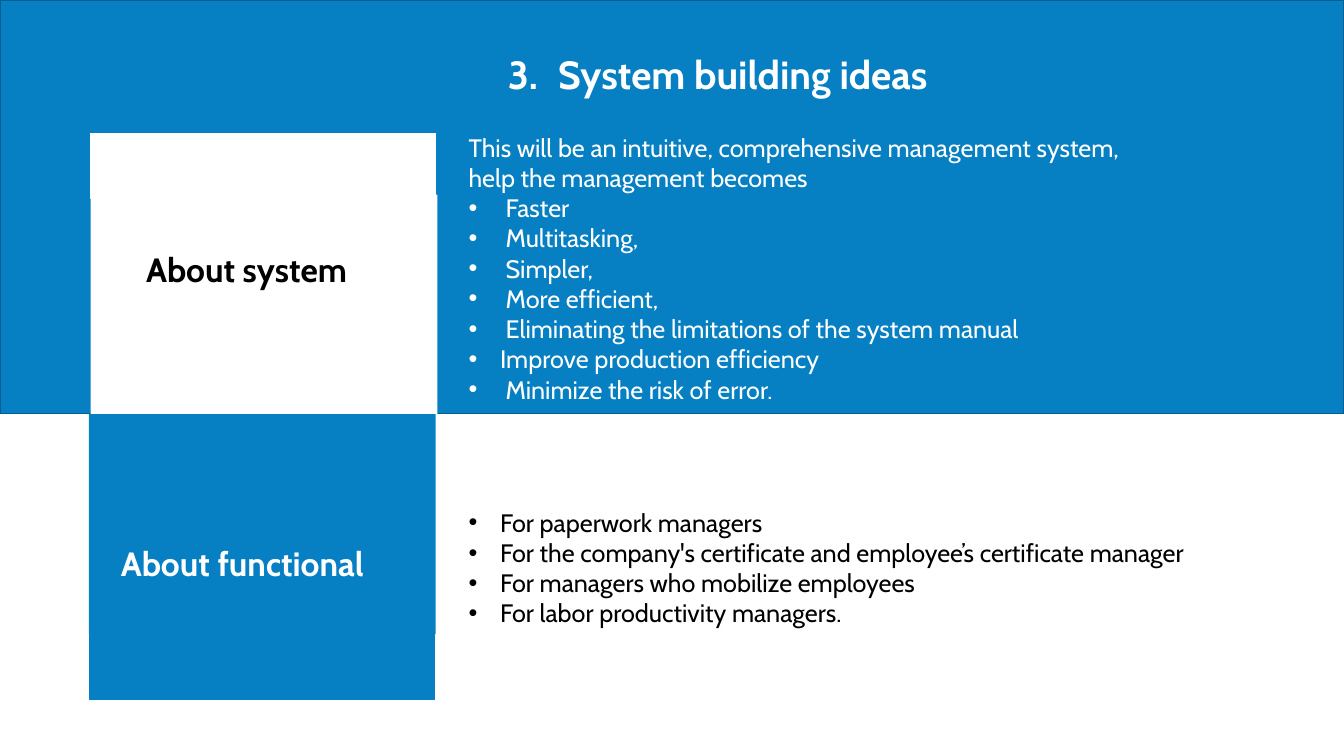
import pptx
import pptx.util
import pptx.dml.color
import pptx.enum.shapes
import pptx.enum.text
import pptx.oxml.ns
import lxml.etree

Pt = pptx.util.Pt
qn = pptx.oxml.ns.qn
ALIGN = pptx.enum.text.PP_ALIGN
BLUE, WHITE, BLACK = "0680C3", "FFFFFF", "000000"


def color(hex_value):
    return pptx.dml.color.RGBColor.from_string(hex_value)


def add_text(box, lines, size=18, fill=BLACK, bold=False, align=ALIGN.LEFT,
             line_spacing=None, space_after=None, wrap=True, grow=True,
             anchor=pptx.enum.text.MSO_ANCHOR.TOP):
    frame = slide.shapes.add_textbox(*[Pt(value) for value in box]).text_frame
    frame.word_wrap = wrap
    frame.vertical_anchor = anchor
    if grow:
        frame.auto_size = pptx.enum.text.MSO_AUTO_SIZE.SHAPE_TO_FIT_TEXT
    for number, (text, indent) in enumerate(lines):
        paragraph = frame.paragraphs[0] if number == 0 else frame.add_paragraph()
        paragraph.alignment = align
        paragraph.line_spacing = line_spacing
        paragraph.space_after = space_after
        if indent:
            properties = paragraph._p.get_or_add_pPr()
            properties.set("marL", str(Pt(indent)))
            properties.set("indent", str(-Pt(indent)))
            bullet_font = lxml.etree.SubElement(properties, qn("a:buFont"))
            bullet_font.set("typeface", "Arial")
            bullet = lxml.etree.SubElement(properties, qn("a:buChar"))
            bullet.set("char", "•")
        run = paragraph.add_run()
        run.text = text
        run.font.name = "Cabin"
        run.font.size = Pt(size)
        run.font.bold = bold
        run.font.color.rgb = color(fill)


presentation = pptx.Presentation()
presentation.slide_width = Pt(960)
presentation.slide_height = Pt(540)
slide = presentation.slides.add_slide(presentation.slide_layouts[6])

panels = [
    (63.5, 295.2, 247.7, 157.7, BLUE, None),
    (0, 0, 960, 295.2, BLUE, "045F90"),
    (64.8, 139, 247.7, 156.6, WHITE, None),
    (64.8, 95.2, 246.2, 46.8, WHITE, WHITE),
    (64.1, 452.9, 246.2, 46.8, BLUE, BLUE),
]
for left, top, width, height, fill, line in panels:
    shape = slide.shapes.add_shape(
        pptx.enum.shapes.MSO_SHAPE.RECTANGLE, Pt(left), Pt(top), Pt(width), Pt(height))
    shape.shadow.inherit = False
    shape.fill.solid()
    shape.fill.fore_color.rgb = color(fill)
    if line:
        shape.line.color.rgb = color(line)
        shape.line.width = Pt(1)
    else:
        shape.line.fill.background()

add_text((311, 26.6, 403.2, 56.9), [("3.\tSystem building ideas", 0)],
         size=28, fill=WHITE, bold=True, align=ALIGN.CENTER, line_spacing=0.9,
         grow=False, anchor=pptx.enum.text.MSO_ANCHOR.MIDDLE)

labels = [
    ("About system", (97.2, 172.1, 180.7, 35.3), BLACK),
    ("About functional", (79.2, 382.3, 216.7, 35.3), WHITE),
]
for label, box, fill in labels:
    add_text(box, [(label, 0)], size=24, fill=fill, bold=True, align=ALIGN.JUSTIFY,
             line_spacing=1.07, space_after=Pt(8), wrap=False)

system_lines = [
    ("This will be an intuitive, comprehensive management system, "
     "help the management becomes", 0),
    ("Faster", 26.5),
    ("Multitasking,", 26.5),
    ("Simpler,", 26.5),
    ("More efficient,", 26.5),
    ("Eliminating the limitations of the system manual", 26.5),
    ("Improve production efficiency", 22.5),
    ("Minimize the risk of error.", 26.5),
]
add_text((327.6, 90.7, 486.7, 203.8), system_lines, fill=WHITE)

functional_lines = [
    ("For paperwork managers", 22.5),
    ("For the company's certificate and employee’s certificate manager", 22.5),
    ("For managers who mobilize employees", 22.5),
    ("For labor productivity managers.", 22.5),
]
add_text((327.6, 358.6, 643.7, 94.3), functional_lines)

presentation.save("out.pptx")
